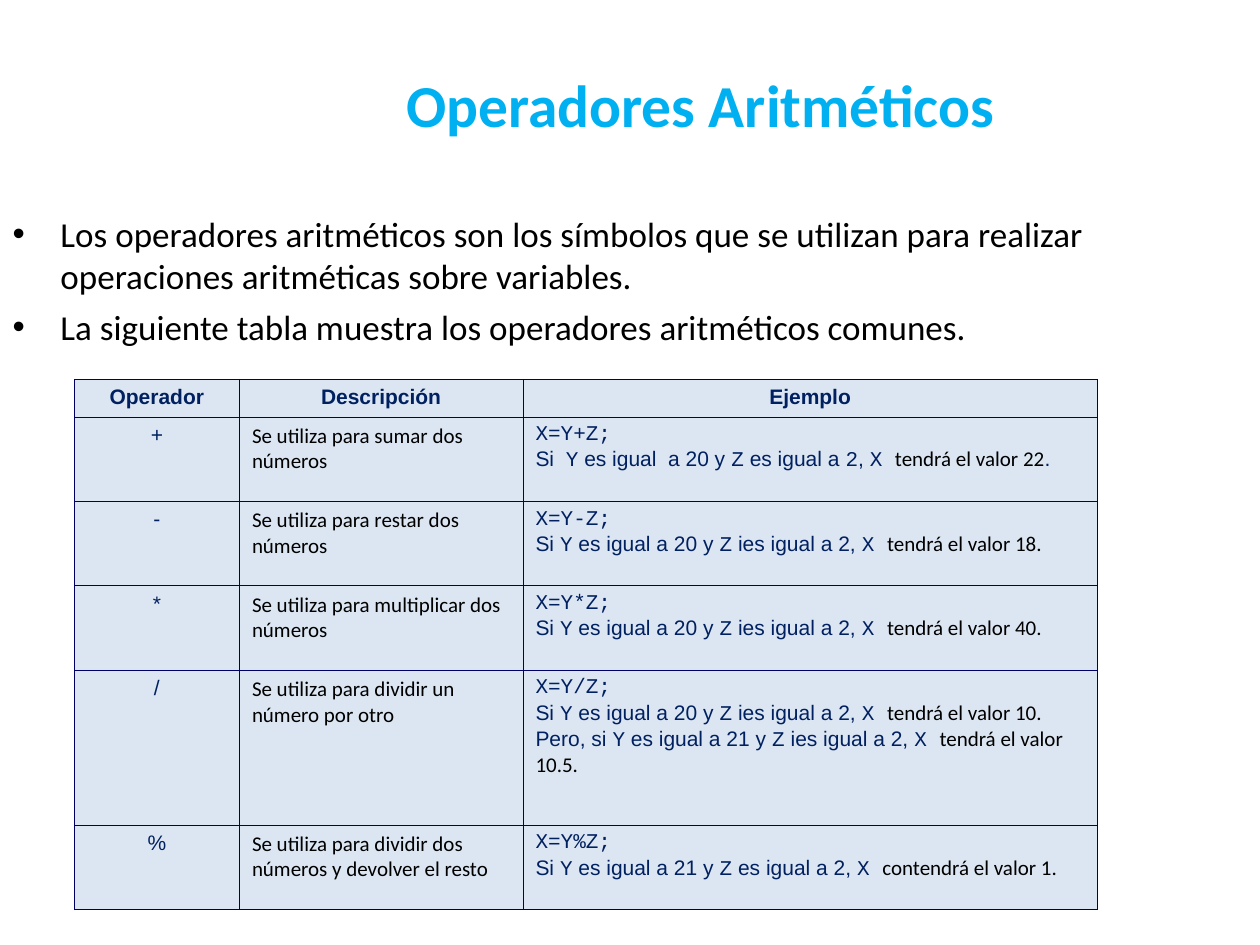
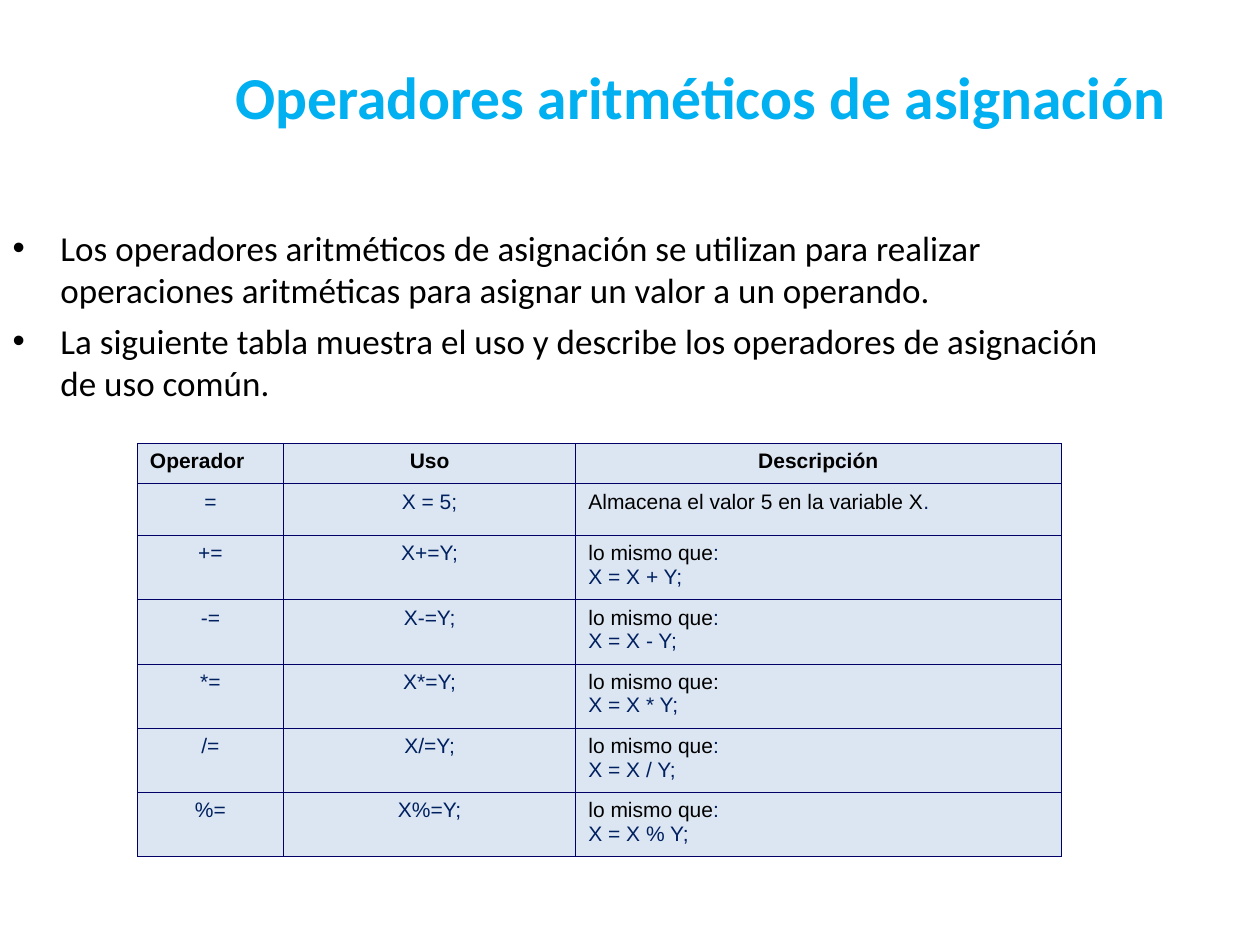
import pptx
import pptx.dml.color
import pptx.enum.text
import pptx.oxml
import pptx.oxml.ns
import pptx.util
from pptx.util import Inches

TITLE_BLUE = "00B0F0"
NAVY = "002060"
BORDER_NAVY = "000066"
BLACK = "000000"
CELL_FILL = "DCE6F2"

# Cell text styles: font name, colour, bold
STYLES = {
    "label": ("Arial", NAVY, False),
    "code": ("Courier New", NAVY, False),
    "plain": ("Calibri", BLACK, False),
    "note": ("Arial", BLACK, False),
    "navy head": ("Arial", NAVY, True),
    "black head": ("Arial", BLACK, True),
}

ALIGN = pptx.enum.text.PP_ALIGN


def rgb(hex_text):
    return pptx.dml.color.RGBColor.from_string(hex_text)


def format_font(font, name, size, colour, bold=False):
    font.name = name
    font.size = pptx.util.Pt(size)
    font.color.rgb = rgb(colour)
    font.bold = bold


def place(shape, box):
    shape.left, shape.top, shape.width, shape.height = map(Inches, box)


def fill_title(page, text, box):
    title = page.shapes.title
    place(title, box)
    frame = title.text_frame
    frame.text = text
    frame.auto_size = pptx.enum.text.MSO_AUTO_SIZE.NONE
    frame.vertical_anchor = pptx.enum.text.MSO_ANCHOR.MIDDLE
    para = frame.paragraphs[0]
    para.alignment = ALIGN.CENTER
    para.line_spacing = 0.8
    format_font(para.runs[0].font, "Calibri", 34, TITLE_BLUE, True)


def add_bullet(para):
    properties = para._p.get_or_add_pPr()
    properties.set("marL", str(Inches(0.38)))
    properties.set("indent", str(Inches(-0.38)))
    namespace = pptx.oxml.ns.nsdecls("a")
    for tag in (f'<a:buClr {namespace}><a:srgbClr val="{BLACK}"/></a:buClr>',
                f'<a:buFont {namespace} typeface="Arial"/>',
                f'<a:buChar {namespace} char="•"/>'):
        properties.append(pptx.oxml.parse_xml(tag))


def fill_bullets(page, lines, box):
    body = page.placeholders[1]
    place(body, box)
    frame = body.text_frame
    frame.text = "\n".join(lines)
    frame.auto_size = pptx.enum.text.MSO_AUTO_SIZE.NONE
    for index, para in enumerate(frame.paragraphs):
        para.space_before = pptx.util.Pt(5 if index else 0)
        add_bullet(para)
        format_font(para.runs[0].font, "Calibri", 20, BLACK)


def border_cell(cell):
    properties = cell._tc.get_or_add_tcPr()
    for index, side in enumerate(("lnL", "lnR", "lnT", "lnB")):
        properties.insert(index, pptx.oxml.parse_xml(
            f'<a:{side} {pptx.oxml.ns.nsdecls("a")} w="{pptx.util.Pt(0.45)}">'
            f'<a:solidFill><a:srgbClr val="{BORDER_NAVY}"/></a:solidFill></a:{side}>'))


def fill_cell(cell, lines, alignment):
    """Write lines, each a list of (style, text) spans."""
    cell.fill.solid()
    cell.fill.fore_color.rgb = rgb(CELL_FILL)
    border_cell(cell)
    frame = cell.text_frame
    for index, spans in enumerate(lines):
        para = frame.add_paragraph() if index else frame.paragraphs[0]
        para.alignment = alignment
        for style, text in spans:
            span = para.add_run()
            span.text = text
            name, colour, bold = STYLES[style]
            format_font(span.font, name, 12, colour, bold)


def add_operator_table(page, left, top, widths, heights, rows, alignments, head_alignments):
    frame = page.shapes.add_table(len(heights), len(widths), Inches(left), Inches(top),
                                  Inches(sum(widths)), Inches(sum(heights)))
    table = frame.table
    table.first_row = table.horz_banding = False
    for column, width in zip(table.columns, widths):
        column.width = Inches(width)
    for index, (row, height, contents) in enumerate(zip(table.rows, heights, rows)):
        row.height = Inches(height)
        for cell, lines, alignment in zip(row.cells, contents,
                                          alignments if index else head_alignments):
            cell.margin_left = cell.margin_right = Inches(0.1)
            cell.margin_top = cell.margin_bottom = Inches(0.05)
            fill_cell(cell, lines, alignment)


def one_line(style, text):
    return [[(style, text)]]


def example_case(y_value, verb, result, lead="Si "):
    return [("label", lead), ("code", "Y"), ("label", f" es igual a {y_value} y "),
            ("code", "Z"), ("label", f" {verb} igual a 2, "), ("code", "X "),
            ("plain", result)]


def add_arithmetic_slide(deck):
    page = deck.slides.add_slide(deck.slide_layouts[1])
    fill_title(page, "Operadores Aritméticos", (1.38, 0.44, 8.36, 0.87))
    fill_bullets(page, [
        "Los operadores aritméticos son los símbolos que se utilizan para realizar "
        "operaciones aritméticas sobre variables.",
        "La siguiente tabla muestra los operadores aritméticos comunes.",
    ], (0, 1.64, 8.98, 5.06))
    sum_case = [("label", "Si  "), ("code", "Y"), ("label", " es igual  a 20 y "),
                ("code", "Z"), ("label", " es igual a "), ("code", "2"), ("label", ", "),
                ("code", "X "), ("plain", "tendrá el valor 22"), ("label", ".")]
    operators = [
        ("+", "Se utiliza para sumar dos números", [sum_case]),
        ("-", "Se utiliza para restar dos números",
         [example_case(20, "ies", "tendrá el valor 18.")]),
        ("*", "Se utiliza para multiplicar dos números",
         [example_case(20, "ies", "tendrá el valor 40.")]),
        ("/", "Se utiliza para dividir un número por otro",
         [example_case(20, "ies", "tendrá el valor 10."),
          example_case(21, "ies", "tendrá el valor 10.5.", "Pero, si ")]),
        ("%", "Se utiliza para dividir dos números y devolver el resto",
         [example_case(21, "es", "contendrá el valor 1.")]),
    ]
    rows = [[one_line("navy head", head) for head in ("Operador", "Descripción", "Ejemplo")]]
    for sign, description, cases in operators:
        rows.append([one_line("label", sign), one_line("plain", description),
                     one_line("code", f"X=Y{sign}Z;") + cases])
    add_operator_table(page, 0.59, 3.01, (1.31, 2.25, 4.56),
                       (0.3, 0.67, 0.67, 0.67, 1.23, 0.67), rows,
                       (ALIGN.CENTER, ALIGN.LEFT, ALIGN.LEFT), (ALIGN.CENTER,) * 3)


def add_assignment_slide(deck):
    page = deck.slides.add_slide(deck.slide_layouts[1])
    fill_title(page, "Operadores aritméticos de asignación", (1.38, 0.38, 8.36, 0.87))
    fill_bullets(page, [
        "Los operadores aritméticos de asignación se utilizan para realizar "
        "operaciones aritméticas para asignar un valor a un operando.",
        "La siguiente tabla muestra el uso y describe los operadores de asignación "
        "de uso común.",
    ], (0, 1.75, 9, 4.95))
    rows = [
        [one_line("black head", head) for head in ("Operador", "Uso", "Descripción")],
        [one_line("label", "="), one_line("label", "X = 5;"),
         [[("note", "Almacena el valor 5 en la variable X"), ("label", ".")]]],
    ]
    for sign in "+-*/%":
        colon_style = "note" if sign == "*" else "label"
        rows.append([one_line("label", f"{sign}="), one_line("label", f"X{sign}=Y;"),
                     [[("note", "lo mismo que"), (colon_style, ":")],
                      [("label", f"X = X {sign} Y;")]]])
    add_operator_table(page, 1.09, 3.52, (1.16, 2.32, 3.85), (0.32, 0.41) + (0.51,) * 5, rows,
                       (ALIGN.CENTER, ALIGN.CENTER, ALIGN.LEFT),
                       (ALIGN.LEFT, ALIGN.CENTER, ALIGN.CENTER))


def main():
    deck = pptx.Presentation()
    deck.slide_width, deck.slide_height = Inches(10), Inches(7.5)
    add_arithmetic_slide(deck)
    add_assignment_slide(deck)
    deck.save("out.pptx")


if __name__ == "__main__":
    main()
